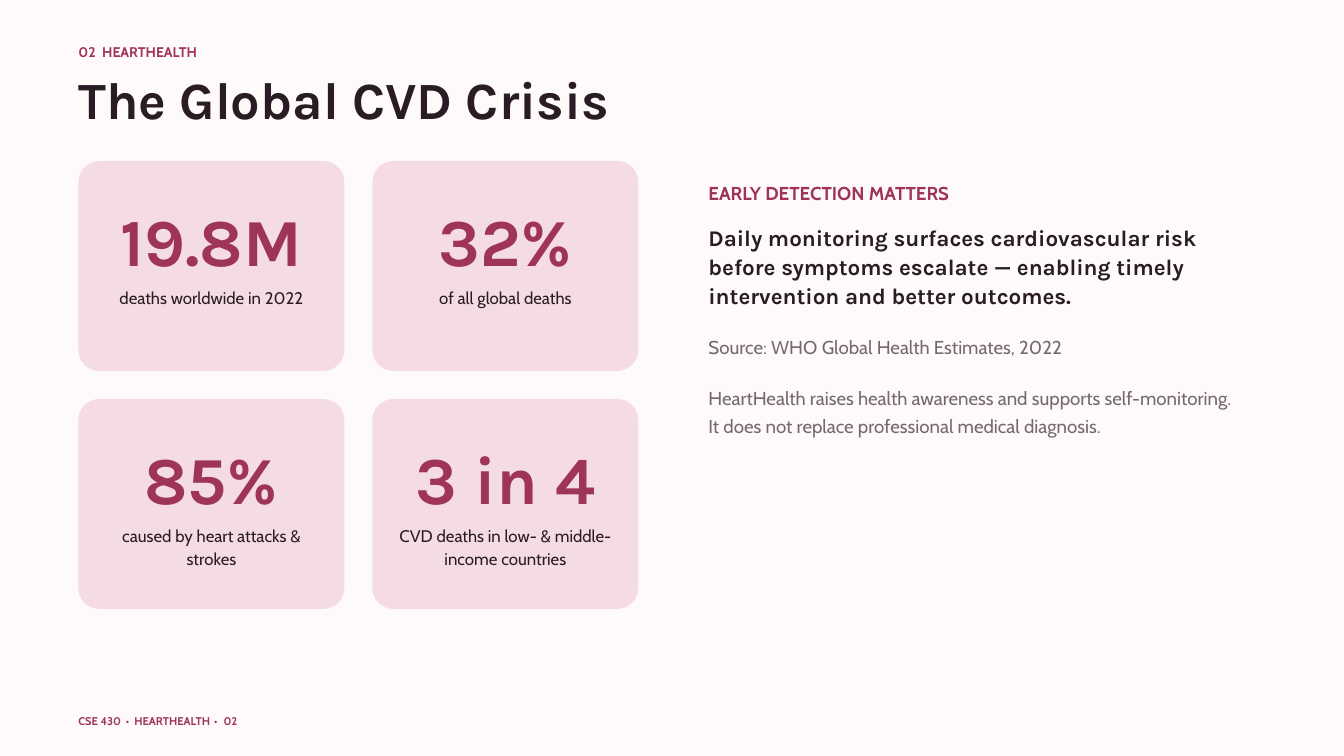
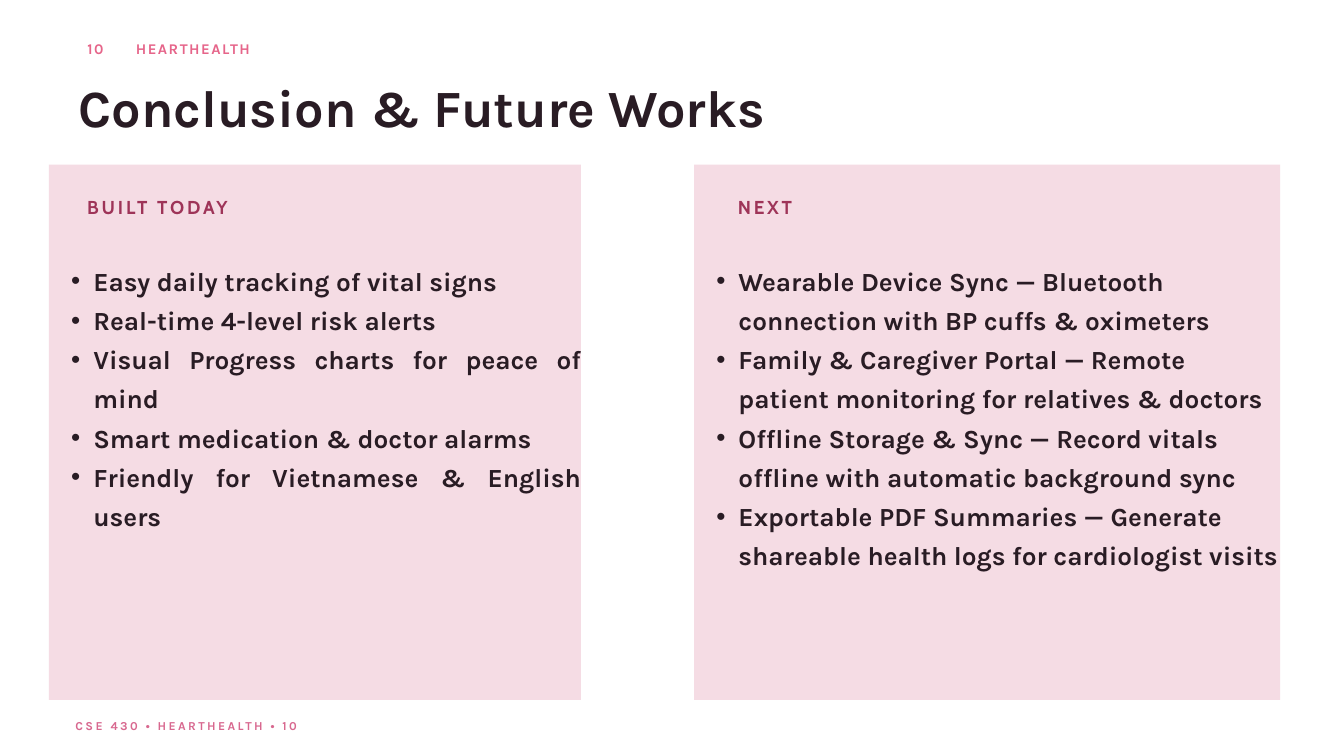
from lxml import etree
from pptx import Presentation
from pptx.dml.color import RGBColor
from pptx.enum.shapes import MSO_SHAPE
from pptx.enum.text import MSO_AUTO_SIZE, PP_ALIGN
from pptx.oxml.ns import qn
from pptx.util import Pt

CENTER, JUSTIFY = PP_ALIGN.CENTER, PP_ALIGN.JUSTIFY
RECTANGLE, ROUNDED = MSO_SHAPE.RECTANGLE, MSO_SHAPE.ROUNDED_RECTANGLE
GROW = MSO_AUTO_SIZE.SHAPE_TO_FIT_TEXT

INK, WINE, GREY, PANEL = "291C24", "9E3458", "766871", "F5DCE4"
PINK, ROSE = "E6658A", "D8688F"
CREAM, WHITE = "FFFAFA", "FFFFFF"
LEFT = 84


def style(size, leading, name="Cabin", color=WINE, bold=True, **extra):
    """Collect the format of a text; extra takes align, spacing, tabs and bullet."""
    font = {"size": Pt(size), "name": name, "bold": bold}
    return {"font": font, "color": color, "leading": leading, **extra}


TITLE = style(56, 61.6, "Karla", INK)
TITLE_LOOSE = style(56, 64.4, "Karla", INK)
LABEL = style(15, 21, tabs=[25.5])
LABEL_SPACED = style(15.9, 22.3, "Karla", PINK, spacing=1.6)
FOOTER = style(12, 16.8, tabs=[51, 60, 145.5, 155.5])
FOOTER_SPACED = style(13, 13, "Karla", ROSE, spacing=2.6)
CARD_VALUE = style(72, 72, "Karla", align=CENTER)
CARD_CAPTION = style(18, 25.2, color=INK, bold=False, align=CENTER)
HEADING = style(20, 28)
HEADING_SPACED = style(20, 28, spacing=3)
STATEMENT = style(24, 31.2, "Karla", INK)
SOURCE = style(20, 28, color=GREY, bold=False)
NOTE = style(20, 30, color=GREY, bold=False)
BULLETS = style(28, 42, "Karla", INK, bullet="•")
BULLETS_JUSTIFIED = {**BULLETS, "align": JUSTIFY}

CARDS = [
    ("19.8M", "deaths worldwide in 2022", 1),
    ("32%", "of all global deaths", 1),
    ("85%", "caused by heart attacks & strokes", 2),
    ("3 in 4", "CVD deaths in low- & middle-income countries", 2),
]
BUILT_TODAY = [
    "Easy daily tracking of vital signs",
    "Real-time 4-level risk alerts",
    "Visual Progress charts for peace of mind",
    "Smart medication & doctor alarms",
    "Friendly for Vietnamese & English users",
]
NEXT = [
    "Wearable Device Sync — Bluetooth connection with BP cuffs & oximeters",
    "Family & Caregiver Portal — Remote patient monitoring for relatives & doctors",
    "Offline Storage & Sync — Record vitals offline with automatic background sync",
    "Exportable PDF Summaries — Generate shareable health logs for cardiologist visits",
]


def rgb(hex_color):
    return RGBColor.from_string(hex_color)


def add_slide(presentation, background):
    slide = presentation.slides.add_slide(presentation.slide_layouts[6])
    slide.background.fill.solid()
    slide.background.fill.fore_color.rgb = rgb(background)
    return slide


def add_bullet(properties, character):
    properties.set("marL", str(Pt(47.5)))
    properties.set("indent", str(Pt(-23.75)))
    etree.SubElement(properties, qn("a:buFont"), typeface="Arial")
    etree.SubElement(properties, qn("a:buChar"), char=character)


def add_tabs(properties, positions):
    tabs = etree.SubElement(properties, qn("a:tabLst"))
    for position in positions:
        etree.SubElement(tabs, qn("a:tab"), pos=str(Pt(position)), algn="l")


def add_text(slide, box, lines, look):
    """Write one paragraph per line into a box without margins."""
    frame = slide.shapes.add_textbox(*map(Pt, box)).text_frame
    settings = {"word_wrap": True, "auto_size": GROW, "margin_left": 0,
                "margin_top": 0, "margin_right": 0, "margin_bottom": 0}
    for name, value in settings.items():
        setattr(frame, name, value)
    for index, line in enumerate(lines):
        paragraph = frame.add_paragraph() if index else frame.paragraphs[0]
        properties = paragraph._p.get_or_add_pPr()
        if "bullet" in look:
            add_bullet(properties, look["bullet"])
        if "tabs" in look:
            add_tabs(properties, look["tabs"])
        paragraph.alignment = look.get("align")
        paragraph.line_spacing = Pt(look["leading"])
        run = paragraph.add_run()
        run.text = line
        for name, value in look["font"].items():
            setattr(run.font, name, value)
        run.font.color.rgb = rgb(look["color"])
        if "spacing" in look:
            run._r.get_or_add_rPr().set("spc", str(round(look["spacing"] * 100)))


def add_panel(slide, box, kind):
    shape = slide.shapes.add_shape(kind, *map(Pt, box))
    shape.shadow.inherit = False
    shape.fill.solid()
    shape.fill.fore_color.rgb = rgb(PANEL)
    shape.line.fill.background()
    return shape


def add_card(slide, box, value, caption, caption_lines):
    left, top, width, height = box
    add_panel(slide, box, ROUNDED).adjustments[0] = 0.1
    add_text(slide, (left + 15, top + 55.5, width - 30, 76), [value], CARD_VALUE)
    caption_box = (left + 18.75, top + 132, width - 37.5, 25 * caption_lines)
    add_text(slide, caption_box, [caption], CARD_CAPTION)


def add_card_grid(slide, box, gap=30, columns=2):
    left, top, width, height = box
    card_width = (width - gap) / columns
    card_height = (height - gap) / 2
    for index, card in enumerate(CARDS):
        row, column = divmod(index, columns)
        card_left = left + column * (card_width + gap)
        card_top = top + row * (card_height + gap)
        add_card(slide, (card_left, card_top, card_width, card_height), *card)


def add_message(slide, box):
    left, top, width, _ = box
    parts = [
        (0, 27, ["EARLY DETECTION MATTERS"], HEADING),
        (47, 92, ["Daily monitoring surfaces cardiovascular risk before symptoms "
                  "escalate — enabling timely intervention and better outcomes."],
         STATEMENT),
        (165.5, 27, ["Source: WHO Global Health Estimates, 2022"], SOURCE),
        (217.5, 57, ["HeartHealth raises health awareness and supports self-monitoring.",
                     "It does not replace professional medical diagnosis."], NOTE),
    ]
    for offset, height, lines, look in parts:
        add_text(slide, (left, top + offset, width, height), lines, look)


def add_list_panel(slide, box, inset, heading, items, look):
    left, top, width, height = box
    add_panel(slide, box, RECTANGLE)
    add_text(slide, (left + inset, top + 29.5, 490, 27), [heading], HEADING_SPACED)
    add_text(slide, (left, top + 99.5, width, height - 200), items, look)


def build_crisis_slide(presentation):
    slide = add_slide(presentation, CREAM)
    add_text(slide, (LEFT, 44, 375, 20), ["02\tHEARTHEALTH"], LABEL)
    add_text(slide, (LEFT, 78, 1125, 63), ["The Global CVD Crisis"], TITLE)
    add_card_grid(slide, (LEFT, 172.5, 600, 480))
    add_message(slide, (759, 190.75, 597, 275))
    add_text(slide, (LEFT, 763, 390, 16), ["CSE 430\t•\tHEARTHEALTH\t•\t02"], FOOTER)


def build_conclusion_slide(presentation):
    slide = add_slide(presentation, WHITE)
    add_text(slide, (93.5, 39, 26, 22), ["10"], LABEL_SPACED)
    add_text(slide, (145.5, 39, 130, 22), ["HEARTHEALTH"], LABEL_SPACED)
    add_text(slide, (LEFT, 83.5, 1125, 64), ["Conclusion & Future Works"], TITLE_LOOSE)
    top, height = 176.25, 573.75
    add_list_panel(slide, (52.5, top, 570, height), 41, "BUILT TODAY",
                   BUILT_TODAY, BULLETS_JUSTIFIED)
    add_list_panel(slide, (743.75, top, 628, height), 46.75, "NEXT", NEXT, BULLETS)
    add_text(slide, (80.75, 772.5, 259, 14), ["CSE 430 • HEARTHEALTH • 10"],
             FOOTER_SPACED)


def main():
    presentation = Presentation()
    presentation.slide_width, presentation.slide_height = Pt(1440), Pt(810)
    build_crisis_slide(presentation)
    build_conclusion_slide(presentation)
    presentation.save("out.pptx")


if __name__ == "__main__":
    main()
